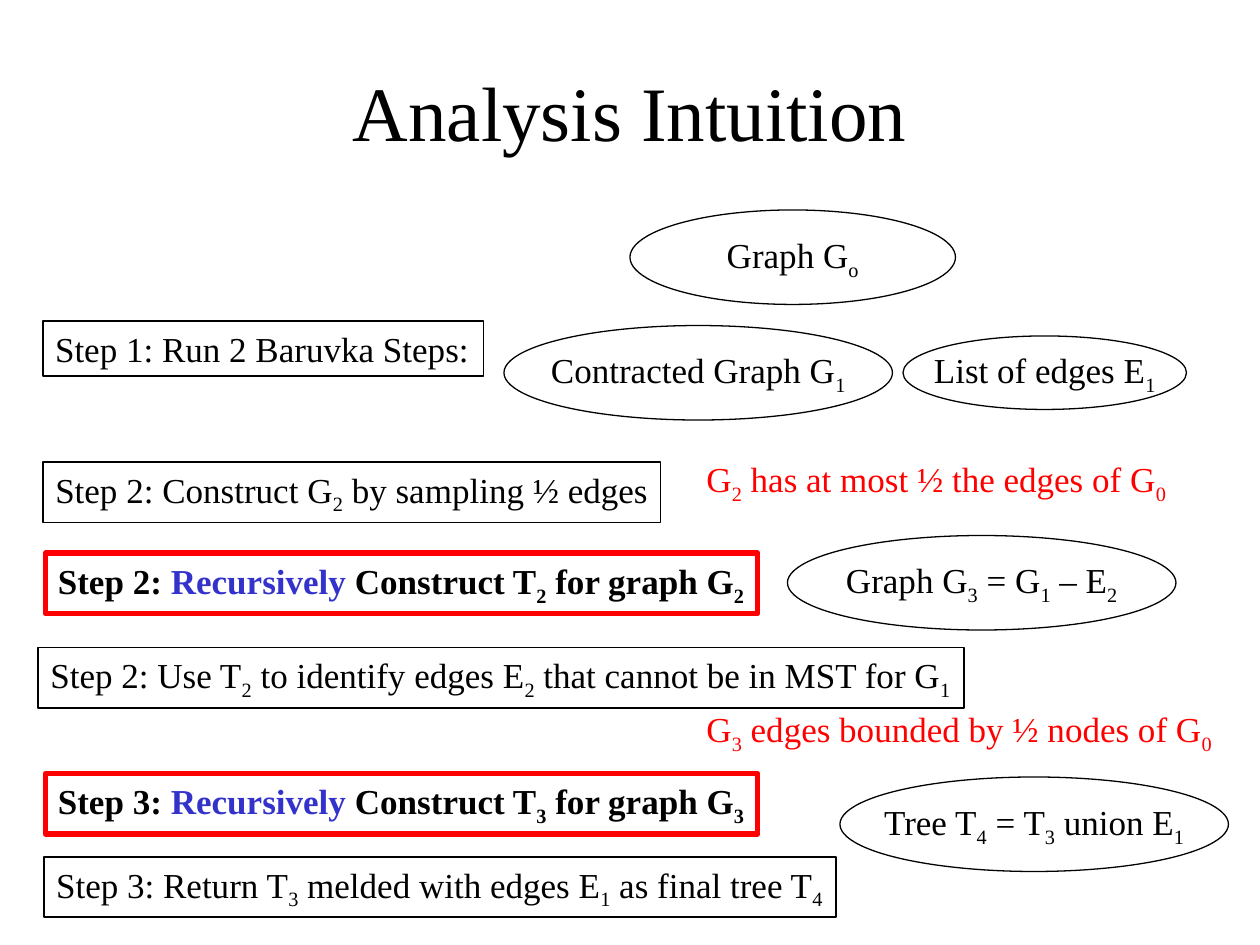
import pptx
import pptx.dml.color
import pptx.enum.shapes
import pptx.enum.text
import pptx.util

Pt = pptx.util.Pt
SHAPE = pptx.enum.shapes.MSO_SHAPE
ANCHOR = pptx.enum.text.MSO_ANCHOR
ALIGN = pptx.enum.text.PP_ALIGN
FIT = pptx.enum.text.MSO_AUTO_SIZE

# Content: "_" makes the next character a subscript, "*...*" is the accent colour
TITLE = "Analysis Intuition"
# (text, left, top, width, height), in points
GRAPHS = [
    ("Graph G_o", 360, 120, 186, 54),
    ("Contracted Graph G_1", 288, 186, 222, 54),
    ("List of edges E_1", 516, 192, 162, 42),
    ("Graph G_3 = G_1 – E_2", 450, 306, 222, 54),
    ("Tree T_4 = T_3 union E_1", 480, 444, 222, 54),
]
STEPS = [
    ("Step 1: Run 2 Baruvka Steps:", 24.4, 183.6, 252, 31.5),
    ("Step 2: Construct G_2 by sampling ½ edges", 24.5, 264, 353, 34.6),
    ("Step 2: Use T_2 to identify edges E_2 that cannot be in MST for G_1",
     21.7, 370, 529.2, 34.6),
    ("Step 3: Return T_3 melded with edges E_1 as final tree T_4",
     25, 489.6, 452.8, 34.6),
]
RECURSIVE_STEPS = [
    ("Step 2: *Recursively* Construct T_2 for graph G_2", 26, 316, 407, 34.6),
    ("Step 3: *Recursively* Construct T_3 for graph G_3", 26, 442, 407, 34.6),
]
BOUNDS = [
    ("G_2 has at most ½ the edges of G_0", 396.6, 257.8, 277.2, 34.6),
    ("G_3 edges bounded by ½ nodes of G_0", 396.6, 401, 303.1, 34.6),
]
BLACK, RED, BLUE = "000000", "FF0000", "3333CC"


def rgb(value):
    return pptx.dml.color.RGBColor.from_string(value)


def add_run(p, text, color, size, bold, subscript=False):
    if not text:
        return
    r = p.add_run()
    r.text = text
    for name, value in dict(name="Times New Roman", size=Pt(size), bold=bold).items():
        setattr(r.font, name, value)
    r.font.color.rgb = rgb(color)
    if subscript:
        r._r.get_or_add_rPr().set("baseline", "-25000")


def write(sp, text, color=BLACK, size=20, bold=False, align=ALIGN.LEFT, **frame):
    tf = sp.text_frame
    for name, value in frame.items():
        setattr(tf, name, value)
    p = tf.paragraphs[0]
    p.alignment = align
    for i, part in enumerate(text.split("*")):
        part_color = BLUE if i % 2 else color
        for j, piece in enumerate(part.split("_")):
            split = 1 if j else 0
            add_run(p, piece[:split], part_color, size, bold, True)
            add_run(p, piece[split:], part_color, size, bold)


def add_outline(s, kind, box, color, width):
    sp = s.shapes.add_shape(kind, *map(Pt, box))
    sp.shadow.inherit = False
    sp.fill.background()
    sp.line.color.rgb = rgb(color)
    sp.line.width = Pt(width)
    return sp


prs = pptx.Presentation()
prs.slide_width, prs.slide_height = Pt(720), Pt(540)
s = prs.slides.add_slide(prs.slide_layouts[6])
centred = dict(align=ALIGN.CENTER, vertical_anchor=ANCHOR.MIDDLE)
# A narrow right margin leaves each fitted line room to stay on one line
fitted = dict(vertical_anchor=ANCHOR.TOP, word_wrap=False, margin_right=Pt(4),
              auto_size=FIT.NONE)

# Title
sp = s.shapes.add_textbox(Pt(54), Pt(18), Pt(612), Pt(90))
write(sp, TITLE, size=44, word_wrap=True, **centred)

# Graphs and trees
for text, *box in GRAPHS:
    sp = add_outline(s, SHAPE.OVAL, box, BLACK, 0.75)
    write(sp, text, word_wrap=False, **centred)

# Steps, the recursive ones in bold with a thick red frame
for steps, color, width, bold in [(STEPS, BLACK, 1, False),
                                  (RECURSIVE_STEPS, RED, 3, True)]:
    for text, *box in steps:
        sp = add_outline(s, SHAPE.RECTANGLE, box, color, width)
        write(sp, text, bold=bold, **{**fitted, "word_wrap": True})

# Size bounds
for text, *box in BOUNDS:
    write(s.shapes.add_textbox(*map(Pt, box)), text, RED, **{**fitted, "word_wrap": True})

prs.save("out.pptx")
